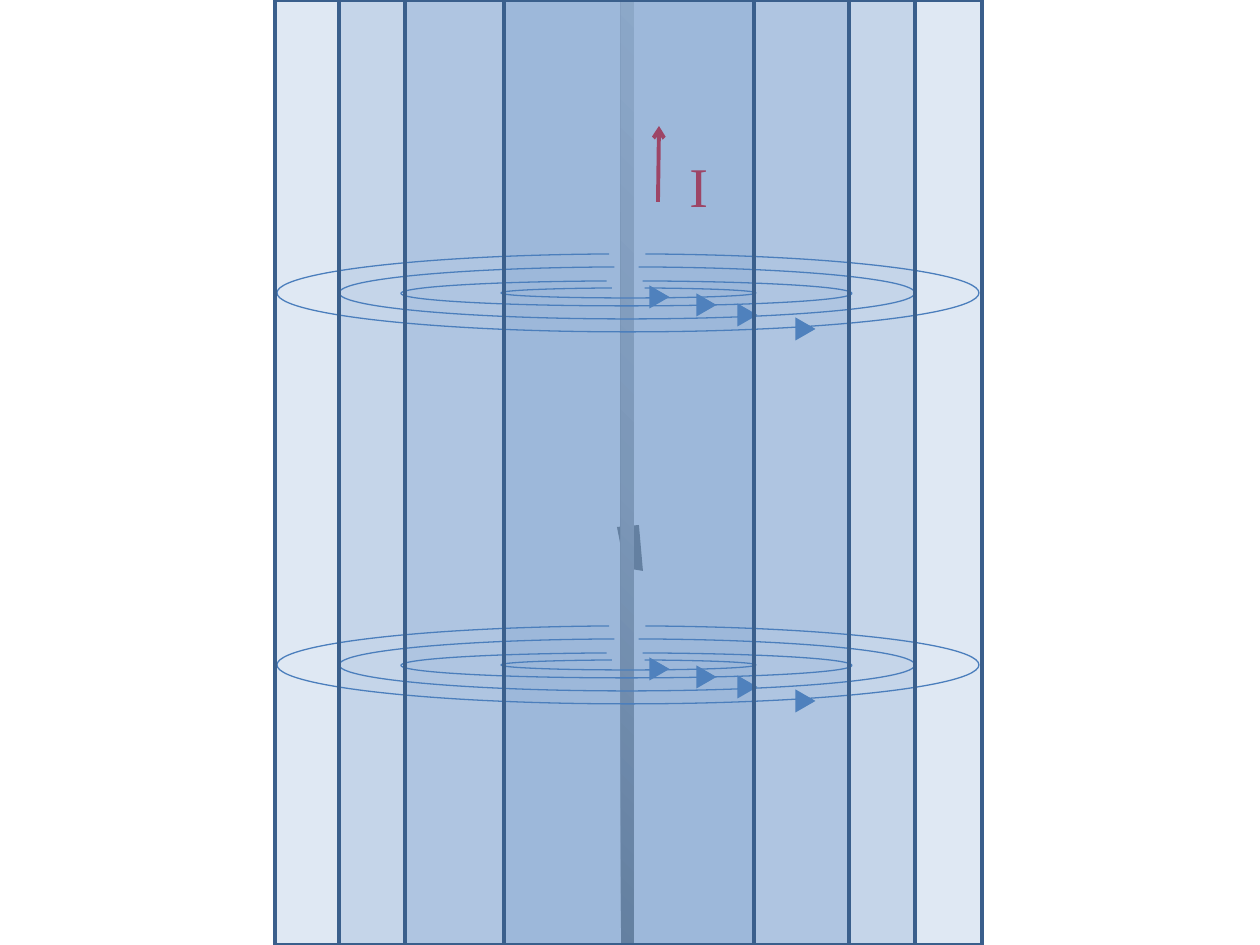
from copy import deepcopy
from pptx import Presentation
from pptx.dml.color import RGBColor
from pptx.enum.shapes import MSO_CONNECTOR as Connector, MSO_SHAPE as Shape
from pptx.enum.text import MSO_AUTO_SIZE as AutoSize
from pptx.oxml.ns import qn
from pptx.util import Pt
from lxml import etree

PX = 914400 // 126
WIDTH, HEIGHT = 1260, 945

CURRENT = {"start": (658, 202), "end": (659, 126), "color": "FF0000", "width": 2.25}
LABEL = {"text": "I", "at": (677, 145, 44, 81)}
LABEL_FONT = {"name": "Times New Roman", "size": Pt(32)}
NOTCH = [(643, 571), (625, 568), (617, 527), (639, 525)]
WIRE = (621, 0, 13, HEIGHT)
WIRE_STOPS = [(0, "808080"), (0.5, "B7B7B7"), (1, "D9D9D9")]

LOOP_DROPS = [372, 0]
LOOPS = [
    ((339, 267, 576, 52), (176.389, 146.585)),
    ((401, 281, 451, 25), (193.39, 127.297)),
    ((277, 254, 702, 78), (176.389, 146.585)),
    ((501, 288, 255, 10), (205.842, 118.043)),
]
ARROWHEADS = [(695, 295), (736, 305), (794, 319), (648, 287)]
ARROWHEAD_SIZE = (23, 20)
TUBES = [(275, 707), (339, 576), (405, 444), (504, 250)]


def px(*values):
    return [value * PX for value in values]


def color(value):
    return RGBColor.from_string(value)


def add_plain(shapes, kind, box, fill=None, line=None, width=0.75):
    shape = shapes.add_shape(kind, *px(*box))
    paint(shape, fill, line, width)
    return shape


def paint(shape, fill, line, width=0.75):
    shape.shadow.inherit = False
    if fill:
        shape.fill.solid()
        shape.fill.fore_color.rgb = color(fill)
    else:
        shape.fill.background()
    if line:
        shape.line.color.rgb = color(line)
        shape.line.width = Pt(width)
    else:
        shape.line.fill.background()


def add_current(shapes):
    arrow = shapes.add_connector(
        Connector.STRAIGHT, *px(*CURRENT["start"], *CURRENT["end"]))
    arrow.line.color.rgb = color(CURRENT["color"])
    arrow.line.width = Pt(CURRENT["width"])
    etree.SubElement(arrow.line._get_or_add_ln(), qn("a:tailEnd"), type="arrow")
    etree.SubElement(arrow._element.spPr, qn("a:effectLst"))

    box = shapes.add_textbox(*px(*LABEL["at"]))
    box.text_frame.word_wrap = False
    box.text_frame.auto_size = AutoSize.SHAPE_TO_FIT_TEXT
    span = box.text_frame.paragraphs[0].add_run()
    span.text = LABEL["text"]
    for name, value in LABEL_FONT.items():
        setattr(span.font, name, value)
    span.font.color.rgb = color(CURRENT["color"])


def add_wire(shapes):
    builder = shapes.build_freeform(*NOTCH[0], scale=PX)
    builder.add_line_segments(NOTCH[1:], close=True)
    paint(builder.convert_to_shape(), "808080", None)

    wire = add_plain(shapes, Shape.RECTANGLE, WIRE)
    wire.fill.gradient()
    wire.fill.gradient_angle = 45
    stop_list = wire._element.spPr.find(".//" + qn("a:gsLst"))
    stop_list.insert(1, deepcopy(stop_list[0]))
    for stop, (position, value) in zip(wire.fill.gradient_stops, WIRE_STOPS):
        stop.position = position
        stop.color.rgb = color(value)


def add_loops(shapes, drop):
    group = shapes.add_group_shape()
    for (left, top, width, height), angles in LOOPS:
        arc = add_plain(group.shapes, Shape.ARC, (left, top + drop, width, height),
                        line="4B7EBC")
        for index, angle in enumerate(angles):
            arc.adjustments[index] = angle
    for left, top in ARROWHEADS:
        head = add_plain(group.shapes, Shape.ISOSCELES_TRIANGLE,
                         (left, top + drop, *ARROWHEAD_SIZE), fill="4F81BD")
        head.rotation = 90


def add_tubes(shapes):
    for left, width in TUBES:
        tube = add_plain(shapes, Shape.RECTANGLE, (left, 0, width, HEIGHT),
                         "4F81BD", "3A5F8C", 2)
        tint = tube._element.spPr.find(qn("a:solidFill"))[0]
        etree.SubElement(tint, qn("a:alpha"), val="18000")


def main():
    deck = Presentation()
    deck.slide_width, deck.slide_height = px(WIDTH, HEIGHT)
    page = deck.slides.add_slide(deck.slide_layouts[6])
    add_current(page.shapes)
    add_wire(page.shapes)
    for drop in LOOP_DROPS:
        add_loops(page.shapes, drop)
    add_tubes(page.shapes)
    deck.save("out.pptx")


if __name__ == "__main__":
    main()
